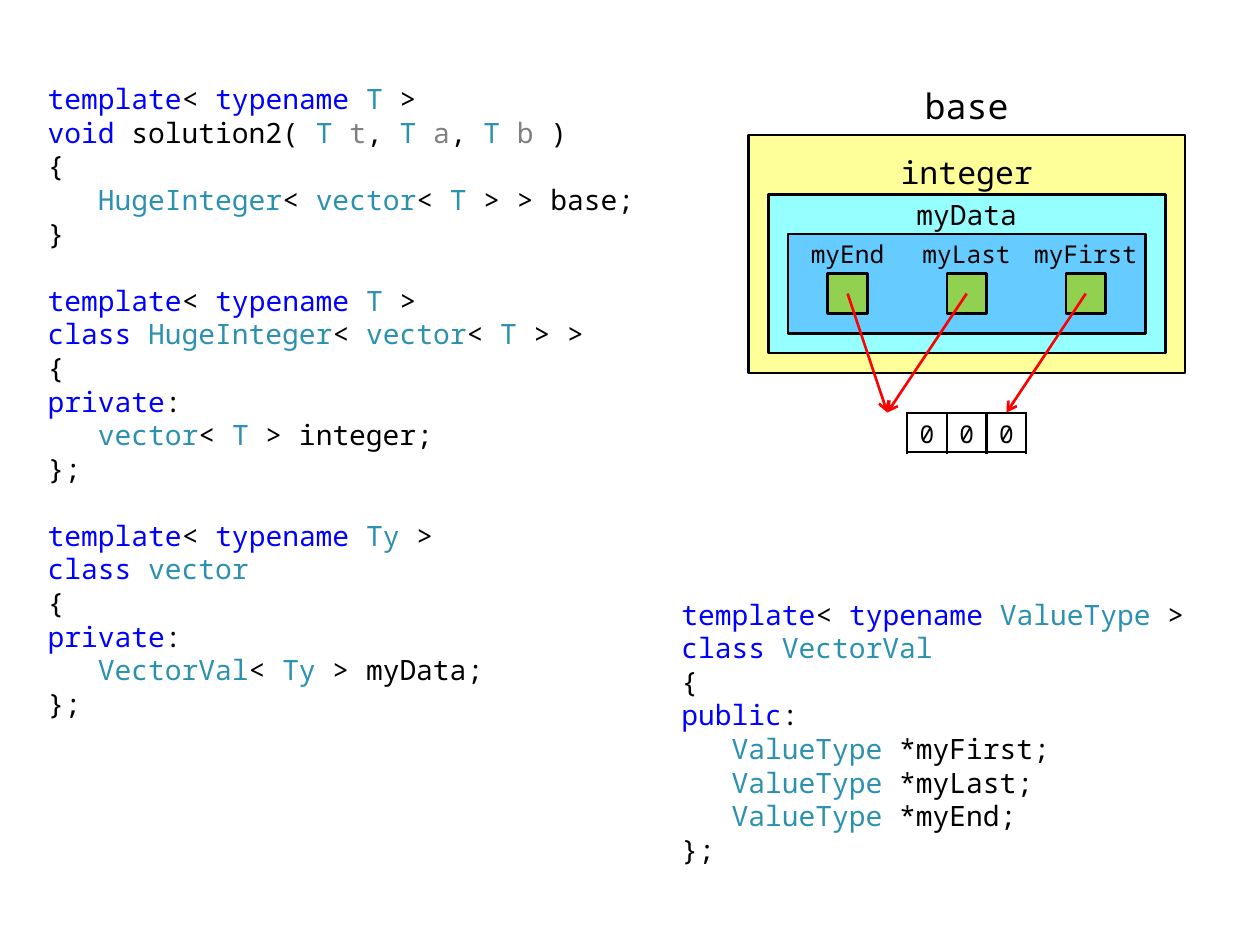
from itertools import groupby
from typing import NamedTuple

from lxml.etree import SubElement
from pptx import Presentation
from pptx.dml.color import RGBColor
from pptx.enum.shapes import MSO_CONNECTOR, MSO_SHAPE
from pptx.enum.text import MSO_ANCHOR, PP_ALIGN
from pptx.oxml.ns import qn
from pptx.util import Inches, Pt

FONT = "Noto Sans Mono"
BLACK, RED, GREEN = "000000", "FF0000", "92D050"
LINE_WIDTH = Pt(1.5)
CODE_PITCH = 19.2

# Diagram grid: square units counted from the corner of the outer box
UNIT, GRID_LEFT, GRID_TOP = 0.315, 5.94, 1.07

# Colours of code words
WORDS = {
    "0000FF": "template typename void class private public",
    "2B91AF": "T Ty HugeInteger vector VectorVal ValueType",
    "808080": "t a b",
}
WORD_COLORS = {w: color for color, words in WORDS.items() for w in words.split()}


class Box(NamedTuple):
    col: float
    row: float
    cols: float
    rows: float
    fill: str
    shape: MSO_SHAPE = MSO_SHAPE.FLOWCHART_PROCESS


class Label(NamedTuple):
    text: str
    col: float
    row: float
    cols: float
    rows: float
    size: int
    side: float = 0.08
    top: float = 0


class Arrow(NamedTuple):
    col: float
    row: float
    end_col: float
    end_row: float


class Code(NamedTuple):
    left: float
    top: float
    width: float
    height: float
    blocks: tuple[str, ...]


BOXES = [
    Box(0, 0, 11, 6, "FFFF99"),
    Box(0.5, 1.5, 10, 4, "96FFFF"),
    Box(1, 2.5, 9, 2.5, "66CCFF"),
]
MEMBERS = ["myEnd", "myLast", "myFirst"]
MEMBER_COLS = 3
TARGET_COLS = [3.5, 3.5, 6.5]
LABELS = [
    Label("base", 2, -1.5, 7, 1.5, 20),
    Label("integer", 3.5, 0, 4, 1.5, 18, top=0.12),
    Label("myData", 3.5, 1.5, 4, 1, 16),
]
CODES = [
    Code(0.28, 0.6, 4.88, 5.51, (
        """template< typename T >
void solution2( T t, T a, T b )
{
   HugeInteger< vector< T > > base;
}""",
        """template< typename T >
class HugeInteger< vector< T > >
{
private:
   vector< T > integer;
};""",
        """template< typename Ty >
class vector
{
private:
   VectorVal< Ty > myData;
};""")),
    Code(5.31, 4.69, 4.41, 2.2, (
        """template< typename ValueType >
class VectorVal
{
public:
   ValueType *myFirst;
   ValueType *myLast;
   ValueType *myEnd;
};""",)),
]


def rgb(color: str) -> RGBColor:
    return RGBColor.from_string(color)


def x(col: float) -> int:
    return Inches(GRID_LEFT + col * UNIT)


def y(row: float) -> int:
    return Inches(GRID_TOP + row * UNIT)


def span(units: float) -> int:
    return Inches(units * UNIT)


def set_font(p, size: int) -> None:
    p.font.name, p.font.size = FONT, Pt(size)
    p.font.color.rgb = rgb(BLACK)


def draw_box(slide, b: Box) -> None:
    sp = slide.shapes.add_shape(b.shape, x(b.col), y(b.row), span(b.cols), span(b.rows))
    sp.shadow.inherit = False
    sp.fill.solid()
    sp.fill.fore_color.rgb = rgb(b.fill)
    sp.line.color.rgb = rgb(BLACK)
    sp.line.width = LINE_WIDTH


def draw_label(slide, lb: Label) -> None:
    tf = slide.shapes.add_textbox(x(lb.col), y(lb.row), span(lb.cols), span(lb.rows)).text_frame
    tf.word_wrap = True
    tf.vertical_anchor = MSO_ANCHOR.MIDDLE
    tf.margin_left = tf.margin_right = Inches(lb.side)
    tf.margin_top, tf.margin_bottom = Inches(lb.top), 0
    p = tf.paragraphs[0]
    p.text, p.alignment = lb.text, PP_ALIGN.CENTER
    set_font(p, lb.size)


def draw_arrow(slide, a: Arrow) -> None:
    line = slide.shapes.add_connector(
        MSO_CONNECTOR.STRAIGHT, x(a.col), y(a.row), x(a.end_col), y(a.end_row))
    line.line.color.rgb = rgb(RED)
    line.line.width = LINE_WIDTH
    SubElement(line.line._get_or_add_ln(), qn("a:tailEnd"), type="arrow")
    SubElement(line._element.spPr, qn("a:effectLst"))


def draw_code(slide, c: Code) -> None:
    tf = slide.shapes.add_textbox(*map(Inches, c[:4])).text_frame
    tf.word_wrap = True
    p = tf.paragraphs[0]
    for i, block in enumerate(c.blocks):
        for j, text in enumerate(block.splitlines()):
            if i or j:
                p = tf.add_paragraph()
            p.line_spacing = Pt(CODE_PITCH)
            p.space_before = Pt(CODE_PITCH if i and not j else 0)
            set_font(p, 16)
            for _, chars in groupby(text, str.isalnum):
                r = p.add_run()
                r.text = "".join(chars)
                r.font.color.rgb = rgb(WORD_COLORS.get(r.text, BLACK))


def draw_values(slide, col: float, row: float, values: list[str]) -> None:
    table = slide.shapes.add_table(
        1, len(values), x(col), y(row), span(len(values)), span(1)).table
    table.first_row = table.horz_banding = False
    for cell, value in zip(table.rows[0].cells, values):
        cell.margin_left = cell.margin_right = Inches(0.06)
        cell.margin_top = cell.margin_bottom = Inches(0.04)
        cell.vertical_anchor = MSO_ANCHOR.MIDDLE
        p = cell.text_frame.paragraphs[0]
        p.text, p.alignment = value, PP_ALIGN.CENTER
        set_font(p, 14)
        props = cell._tc.get_or_add_tcPr()
        for side in ("lnL", "lnR", "lnT", "lnB"):
            ln = SubElement(props, qn(f"a:{side}"), w=str(LINE_WIDTH))
            SubElement(SubElement(ln, qn("a:solidFill")), qn("a:srgbClr"), val=BLACK)
        cell.fill.background()


def main() -> None:
    prs = Presentation()
    prs.slide_width, prs.slide_height = Inches(10), Inches(7.5)
    slide = prs.slides.add_slide(prs.slide_layouts[6])

    # Source code
    for code in CODES:
        draw_code(slide, code)

    # Nested objects and their names
    for box in BOXES:
        draw_box(slide, box)
    for label in LABELS:
        draw_label(slide, label)

    # Stored values
    draw_values(slide, 4, 7, ["0"] * 3)

    # Pointer members, then the arrows above them
    for i, name in enumerate(MEMBERS):
        col = 1 + i * MEMBER_COLS
        draw_label(slide, Label(name, col, 2.5, MEMBER_COLS, 1, 14, side=0.04))
        draw_box(slide, Box(col + 1, 3.5, 1, 1, GREEN, MSO_SHAPE.RECTANGLE))
    for i, target in enumerate(TARGET_COLS):
        draw_arrow(slide, Arrow(2.5 + i * MEMBER_COLS, 4, target, 7))

    prs.save("out.pptx")


if __name__ == "__main__":
    main()
